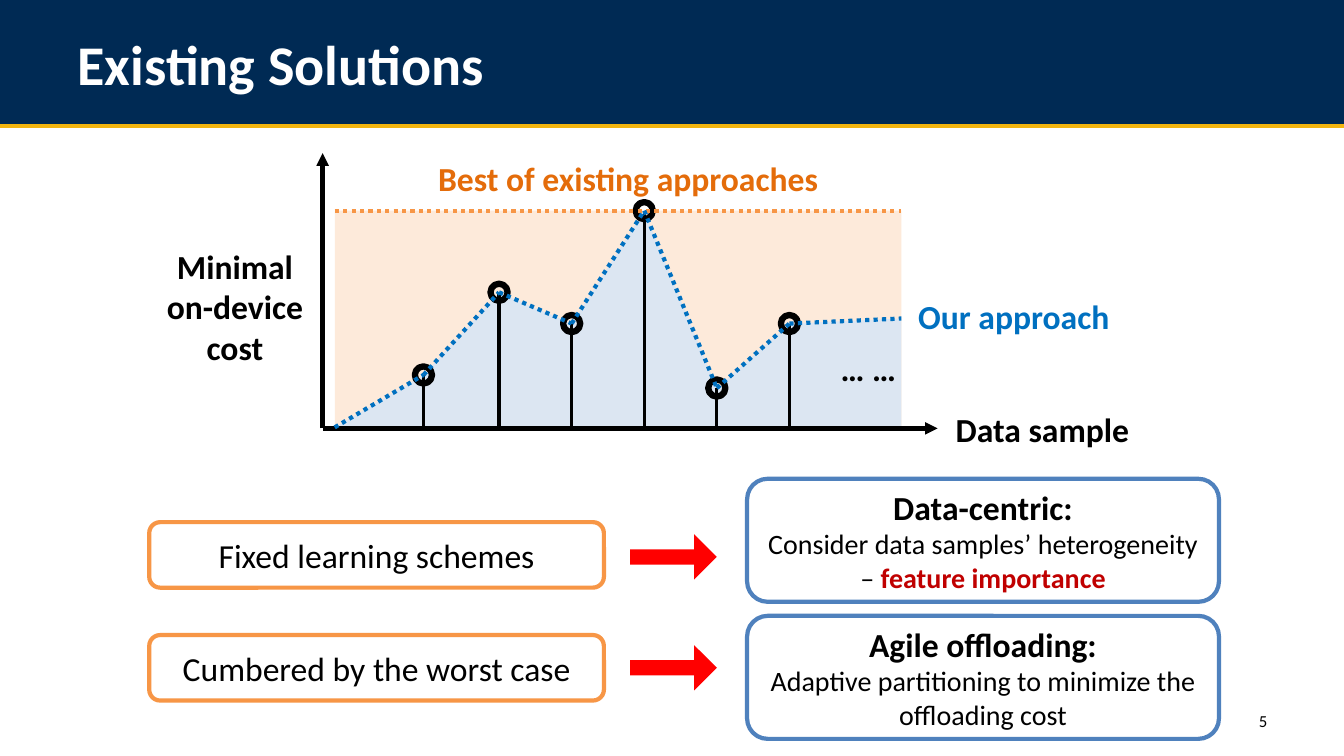
from collections import namedtuple
from dataclasses import dataclass

from lxml import etree
from pptx import Presentation
from pptx.dml.color import RGBColor
from pptx.enum.dml import MSO_LINE
from pptx.enum.shapes import MSO_CONNECTOR, MSO_SHAPE
from pptx.enum.text import MSO_ANCHOR, MSO_AUTO_SIZE, PP_ALIGN
from pptx.oxml.ns import qn
from pptx.util import Inches, Pt

STRAIGHT = MSO_CONNECTOR.STRAIGHT
RECTANGLE, ELLIPSE = MSO_SHAPE.RECTANGLE, MSO_SHAPE.OVAL
ROUNDED, RIGHT_ARROW = MSO_SHAPE.ROUNDED_RECTANGLE, MSO_SHAPE.RIGHT_ARROW
DOTTED = MSO_LINE.ROUND_DOT
LEFT, CENTER, RIGHT = PP_ALIGN.LEFT, PP_ALIGN.CENTER, PP_ALIGN.RIGHT
MIDDLE, TOP = MSO_ANCHOR.MIDDLE, MSO_ANCHOR.TOP
NO_AUTOFIT = MSO_AUTO_SIZE.NONE

Box = namedtuple("Box", "left top width height")
Span = namedtuple("Span", "text size color bold")


@dataclass(frozen=True)
class Theme:
    font: str = "Calibri"
    navy: str = "002A54"
    gold: str = "F3B50F"
    white: str = "FFFFFF"
    black: str = "000000"
    orange: str = "F79646"
    dark_orange: str = "E46C0A"
    pale_orange: str = "FDEADA"
    blue: str = "0070C0"
    pale_blue: str = "DCE6F2"
    frame_blue: str = "4F81BD"
    red: str = "FF0000"
    dark_red: str = "C00000"
    title_size: int = 40
    label_size: int = 24
    detail_size: int = 20
    number_size: int = 12


THEME = Theme()

# Sample position and cost, in inches from the lower left corner of the plot
SAMPLES = [(0.88, 0.52), (1.63, 1.34), (2.35, 1.03),
           (3.07, 2.15), (3.79, 0.39), (4.51, 1.03)]
LAST_COST = 1.08


def inches(values):
    return [Inches(value) for value in values]


def style_font(font, size, color, bold):
    font.name = THEME.font
    font.size = Pt(size)
    font.color.rgb = RGBColor.from_string(color)
    font.bold = bold


def write(shape, paragraphs, align=LEFT, anchor=TOP):
    """Fill a shape with paragraphs, each a list of spans."""
    frame = shape.text_frame
    frame.word_wrap = True
    frame.auto_size = NO_AUTOFIT
    frame.vertical_anchor = anchor
    for index, spans in enumerate(paragraphs):
        para = frame.paragraphs[0] if index == 0 else frame.add_paragraph()
        para.alignment = align
        style_font(para.font, *spans[0][1:])
        for span in spans:
            run = para.add_run()
            run.text = span.text
            if span[1:] != spans[0][1:]:
                style_font(run.font, *span[1:])


def add_label(page, box, text, color=THEME.black, align=LEFT):
    label = page.shapes.add_textbox(*inches(box))
    write(label, [[Span(text, THEME.label_size, color, True)]], align)


def paint(shape, fill=None, line=None, width=3):
    shape.shadow.inherit = False
    if fill:
        shape.fill.solid()
        shape.fill.fore_color.rgb = RGBColor.from_string(fill)
    else:
        shape.fill.background()
    if line:
        shape.line.color.rgb = RGBColor.from_string(line)
        shape.line.width = Pt(width)
    else:
        shape.line.fill.background()


def add_shape(page, kind, box, fill=None, line=None, width=3):
    shape = page.shapes.add_shape(kind, *inches(box))
    paint(shape, fill, line, width)
    return shape


def add_line(shapes, start, end, color, width=3, dash=None, arrow=False):
    line = shapes.add_connector(STRAIGHT, *inches(start + end))
    line.line.color.rgb = RGBColor.from_string(color)
    line.line.width = Pt(width)
    if dash:
        line.line.dash_style = dash
    properties = line.element.spPr
    if arrow:
        outline = properties.find(qn("a:ln"))
        etree.SubElement(outline, qn("a:tailEnd"), type="triangle")
    etree.SubElement(properties, qn("a:effectLst"))


def add_header(page, box, text):
    band = add_shape(page, RECTANGLE, box, THEME.navy)
    title = page.shapes.title
    title.element.addprevious(band.element)
    bottom = box.top + box.height
    add_line(page.shapes, (box.left, bottom), (box.left + box.width, bottom),
             THEME.gold, 2.5)
    margin = 0.67
    title.left, title.top, title.width, title.height = inches(
        (box.left + margin, box.top, box.width - 2 * margin, box.height))
    write(title, [[Span(text, THEME.title_size, THEME.white, True)]],
          anchor=MIDDLE)


def add_cost_plot(page, plot):
    """Draw the cost of each sample inside the plot box, with axes around it."""
    left, top, width, height = plot
    right, bottom = left + width, top + height
    origin = (left - 0.12, bottom + 0.01)
    points = [(left + x, bottom - cost) for x, cost in SAMPLES]
    curve = [(left, bottom), *points, (right, bottom - LAST_COST)]

    add_shape(page, RECTANGLE, plot, THEME.pale_orange)
    outline = page.shapes.build_freeform(*inches(curve[0]))
    outline.add_line_segments(
        [inches(point) for point in curve[1:] + [(right, bottom)]])
    paint(outline.convert_to_shape(), THEME.pale_blue)

    for end in ((origin[0], top - 0.57), (right + 0.36, origin[1])):
        add_line(page.shapes, origin, end, THEME.black, arrow=True)

    ring = 0.17
    for x, y in points:
        add_shape(page, ELLIPSE, Box(x - ring / 2, y - ring / 2, ring, ring),
                  line=THEME.black, width=4.5)
        add_line(page.shapes, (x, y), (x, bottom), THEME.black, 2.25)

    add_line(page.shapes, (left, top), (right, top), THEME.orange, dash=DOTTED)
    trend = page.shapes.add_group_shape()
    for start, end in zip(curve, curve[1:]):
        add_line(trend.shapes, start, end, THEME.blue, dash=DOTTED)

    add_label(page, Box(right + 0.44, bottom - 0.23, 2.1, 0.5), "Data sample")
    add_label(page, Box(left - 1.8, top + 0.3, 1.62, 1.22),
              "Minimal on-device cost", align=CENTER)
    add_label(page, Box(left + 4.92, top + 1.31, 0.9, 0.47), "… …")
    add_label(page, Box(left + 0.76, top - 0.57, 4.3, 0.5),
              "Best of existing approaches", THEME.dark_orange, CENTER)
    add_label(page, Box(right - 0.13, top + 0.8, 2.49, 0.5),
              "Our approach", THEME.blue, CENTER)


def add_answer_row(page, box, problem_offset, arrow_offset, problem, answer):
    """Place a problem, an arrow and its answer from left to right."""
    problem_box = Box(box.left, box.top + problem_offset, 4.51, 0.65)
    frame = add_shape(page, ROUNDED, problem_box, THEME.white, THEME.orange)
    write(frame, [[Span(problem, THEME.label_size, THEME.black, False)]],
          CENTER, MIDDLE)

    arrow_box = Box(box.left + 4.77, box.top + arrow_offset, 0.86, 0.45)
    arrow = add_shape(page, RIGHT_ARROW, arrow_box, THEME.red)
    arrow.adjustments[0] = 0.336

    answer_width = 4.68
    answer_box = Box(box.left + box.width - answer_width, box.top,
                     answer_width, box.height)
    frame = add_shape(page, ROUNDED, answer_box, THEME.white, THEME.frame_blue)
    write(frame, answer, CENTER, MIDDLE)


def add_page_number(page, box, number):
    holder = page.shapes.add_textbox(*inches(box))
    write(holder, [[Span(number, THEME.number_size, THEME.black, False)]],
          RIGHT, MIDDLE)


def main():
    deck = Presentation()
    deck.slide_width, deck.slide_height = inches((13.33, 7.5))
    page = deck.slides.add_slide(deck.slide_layouts[5])

    def heading(text):
        return [Span(text, THEME.label_size, THEME.black, True)]

    def detail(text):
        return Span(text, THEME.detail_size, THEME.black, False)

    add_header(page, Box(0, 0, 13.33, 1.25), "Existing Solutions")
    add_page_number(page, Box(9.56, 6.95, 3.11, 0.4), "5")
    add_cost_plot(page, Box(3.32, 2.09, 5.62, 2.15))
    importance = Span("feature importance", THEME.detail_size,
                      THEME.dark_red, True)
    add_answer_row(page, Box(1.48, 4.75, 10.61, 1.22), 0.43, 0.55,
                   "Fixed learning schemes",
                   [heading("Data-centric:"),
                    [detail("Consider data samples’ heterogeneity")],
                    [detail("– "), importance]])
    add_answer_row(page, Box(1.48, 6.11, 10.61, 1.22), 0.19, 0.29,
                   "Cumbered by the worst case",
                   [heading("Agile offloading:"),
                    [detail("Adaptive partitioning to minimize the "
                            "offloading cost")]])
    deck.save("out.pptx")


if __name__ == "__main__":
    main()
